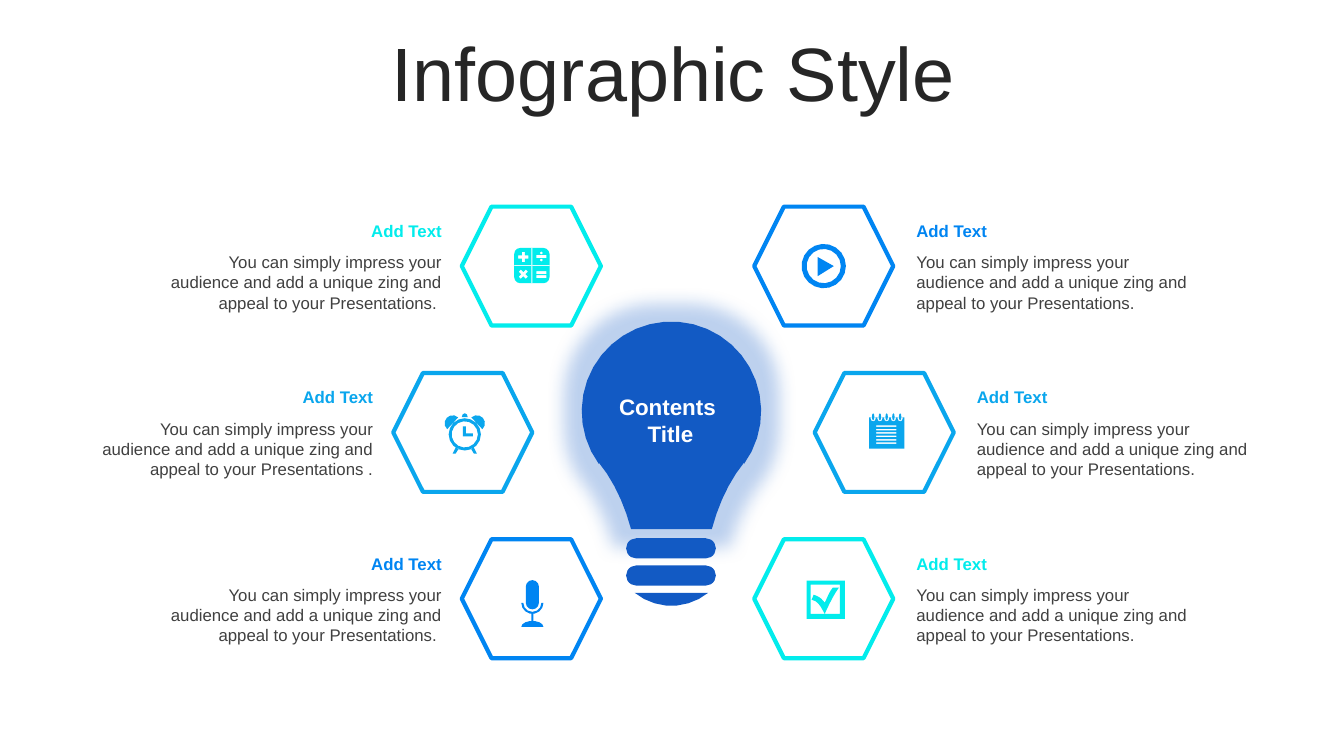
import math

import lxml.etree
import pptx
import pptx.dml.color
import pptx.enum.shapes
import pptx.enum.text
import pptx.oxml.ns
import pptx.util

Inches = pptx.util.Inches
SHAPE = pptx.enum.shapes.MSO_SHAPE
ALIGN = pptx.enum.text.PP_ALIGN
ANCHOR = pptx.enum.text.MSO_ANCHOR
BLUE, SKY, CYAN, NAVY = "0085F2", "0AA6ED", "02ECEC", "125AC4"
BODY = "You can simply impress your audience and add a unique zing and appeal to your Presentations"


def rgb(color):
    """Turn a hex string into a colour."""
    return pptx.dml.color.RGBColor.from_string(color)


def add_xml(parent, tag, **attrs):
    """Append a DrawingML element with attributes."""
    el = lxml.etree.SubElement(parent, pptx.oxml.ns.qn(tag))
    for name, value in attrs.items():
        el.set(name, str(value))
    return el


def add_text(s, text, x, y, w, h, size=12, color="404040", bold=False,
             align=ALIGN.LEFT, anchor=ANCHOR.TOP, spacing=1.0):
    """Place a text box, one paragraph for each line of text."""
    tf = s.shapes.add_textbox(Inches(x), Inches(y), Inches(w), Inches(h)).text_frame
    tf.word_wrap, tf.vertical_anchor = True, anchor
    for i, line in enumerate(text.split("\n")):
        p = tf.paragraphs[0] if i == 0 else tf.add_paragraph()
        p.alignment, p.line_spacing = align, spacing
        r = p.add_run()
        r.text = line
        r.font.name, r.font.size, r.font.bold = "Arial", pptx.util.Pt(size), bold
        r.font.color.rgb = rgb(color)


def paint(sp, color):
    """Fill a shape flat, with no line or shadow."""
    sp.shadow.inherit = False
    sp.fill.solid()
    sp.fill.fore_color.rgb = rgb(color)
    sp.line.fill.background()
    return sp


def box(x, y, w, h):
    """Return a rectangular contour."""
    return [(x, y), (x + w, y), (x + w, y + h), (x, y + h)]


def arc(cx, cy, rx, ry=None, start=0, end=360):
    """Return points along an elliptical arc, in degrees clockwise from the right."""
    ry = ry or rx
    steps = max(3, math.ceil(abs(end - start) / 9 * math.sqrt(max(rx, ry))))
    angles = [math.radians(start + (end - start) * i / steps) for i in range(steps + 1)]
    return [(cx + rx * math.cos(a), cy + ry * math.sin(a)) for a in angles]


def bezier(a, b, c, d, steps=5):
    """Return points along a cubic curve."""
    ts = [i / steps for i in range(steps + 1)]
    return [tuple((1 - t) ** 3 * a[k] + 3 * (1 - t) ** 2 * t * b[k]
                  + 3 * (1 - t) * t * t * c[k] + t ** 3 * d[k] for k in (0, 1)) for t in ts]


def mirror(points, cx):
    """Reflect points about a vertical axis, in reverse order."""
    return [(2 * cx - x, y) for x, y in reversed(points)]


def draw(s, contours, x, y, color):
    """Draw contours as one freeform at an offset; nested contours make holes."""
    placed = [[(Inches(x + px), Inches(y + py)) for px, py in c] for c in contours]
    fb = s.shapes.build_freeform(*placed[0][0])
    for i, points in enumerate(placed):
        if i:
            fb.move_to(*points[0])
        fb.add_line_segments(points[1:], close=True)
    return paint(fb.convert_to_shape(), color)


def cross(cx, cy, turn):
    """Return a plus sign contour turned by an angle."""
    points = []
    for q in range(4):
        a = math.radians(90 * q + turn)
        for dx, dy in ((0.05, -0.015), (0.05, 0.015), (0.015, 0.015)):
            points.append((cx + dx * math.cos(a) - dy * math.sin(a),
                           cy + dx * math.sin(a) + dy * math.cos(a)))
    return points


def calculator():
    """Return the calculator contours."""
    corners = ((0.29, 0.29), (0.06, 0.29), (0.06, 0.06), (0.29, 0.06))
    body = [pt for i, (cx, cy) in enumerate(corners)
            for pt in arc(cx, cy, 0.06, start=90 * i, end=90 * i + 90)]
    gaps = [box(0.17, 0, 0.01, 0.35), box(0, 0.17, 0.17, 0.01), box(0.18, 0.17, 0.17, 0.01)]
    bars = [box(0.22, y, 0.1, 0.03) for y in (0.07, 0.23, 0.27)]
    dots = [arc(0.27, y, 0.015) for y in (0.05, 0.12)]
    return [body, *gaps, *bars, *dots, cross(0.09, 0.09, 0), cross(0.09, 0.26, 45)]


def clock():
    """Return the alarm clock contours."""
    hands = [(0.18, 0.13), (0.21, 0.13), (0.21, 0.2), (0.28, 0.2), (0.28, 0.23), (0.18, 0.23)]
    leg = [(0.11, 0.34), (0.08, 0.4), (0.11, 0.4), (0.14, 0.35)]
    bell = arc(0.08, 0.1, 0.08, start=133, end=313)
    cap = arc(0.2, 0.04, 0.03, 0.04, 180, 360)
    return [arc(0.2, 0.21, 0.16), arc(0.2, 0.21, 0.13), hands, cap,
            leg, mirror(leg, 0.2), bell, mirror(bell, 0.2)]


def microphone():
    """Return the microphone contours."""
    capsule = arc(0.11, 0.07, 0.065, start=180, end=360) + arc(0.11, 0.23, 0.065, end=180)
    cradle = arc(0.11, 0.23, 0.11, end=180) + arc(0.11, 0.23, 0.09, start=180, end=0)
    return [capsule, cradle, box(0.1, 0.34, 0.02, 0.07),
            arc(0.11, 0.47, 0.11, 0.06, 180, 360)]


def play():
    """Return the play button contours."""
    return [arc(0.22, 0.22, 0.22), arc(0.22, 0.22, 0.17),
            [(0.16, 0.13), (0.32, 0.22), (0.16, 0.32)]]


def notepad():
    """Return the notepad contours."""
    lines = [box(0.07, 0.12 + 0.034 * i, 0.2, 0.015) for i in range(6)]
    centers = [0.04 + 0.067 * i for i in range(5)]
    notches = [[(c - 0.025, 0.04), (c + 0.025, 0.04)] + arc(c, 0.055, 0.025, end=180)
               for c in centers]
    rings = [arc(c, 0.035, 0.012, 0.035) for c in centers]
    return [box(0, 0.04, 0.35, 0.31), *lines, *notches, *rings]


def checkbox():
    """Return the ticked box contours."""
    tick = (bezier((0.07, 0.14), (0.13, 0.16), (0.15, 0.18), (0.18, 0.22))
            + bezier((0.18, 0.22), (0.21, 0.16), (0.22, 0.12), (0.26, 0.07))
            + bezier((0.32, 0.07), (0.27, 0.14), (0.22, 0.24), (0.18, 0.33))
            + bezier((0.18, 0.33), (0.15, 0.28), (0.12, 0.2), (0.05, 0.19)))
    return [box(0, 0, 0.38, 0.38), box(0.04, 0.04, 0.29, 0.29), tick]


def add_bulb(s, x, y):
    """Draw the glowing bulb."""
    side = bezier((1.61, 1.4), (1.47, 1.57), (1.36, 1.8), (1.29, 2.06))
    head = arc(0.89, 0.89, 0.89, start=144, end=396)
    sp = draw(s, [head + side + mirror(side, 0.89)], x, y, NAVY)
    effects = sp._element.spPr.find(pptx.oxml.ns.qn("a:effectLst"))
    clr = add_xml(add_xml(effects, "a:glow", rad=Inches(0.35)), "a:srgbClr", val=NAVY)
    add_xml(clr, "a:alpha", val=28000)
    for dy in (2.15, 2.42):
        ring = s.shapes.add_shape(SHAPE.ROUNDED_RECTANGLE, Inches(x + 0.44), Inches(y + dy),
                                  Inches(0.89), Inches(0.2))
        ring.adjustments[0] = 0.5
        paint(ring, NAVY)
    draw(s, [arc(0.89, 2.24, 0.58, start=51, end=129)], x, y, NAVY)


def add_item(s, x, y, color, icon, dx, dy, opacity, left, ending):
    """Draw a hexagon with its icon and the text beside it."""
    sp = s.shapes.add_shape(SHAPE.HEXAGON, Inches(x), Inches(y), Inches(1.38), Inches(1.18))
    paint(sp, "FFFFFF")
    if opacity:
        clr = sp._element.spPr.find(".//" + pptx.oxml.ns.qn("a:srgbClr"))
        add_xml(clr, "a:alpha", val=opacity * 1000)
    else:
        sp.fill.background()
    sp.line.color.rgb, sp.line.width = rgb(color), pptx.util.Pt(3)
    draw(s, icon(), x + dx, y + dy, color)
    tx = x - 3.09 if left else x + 1.51
    align = ALIGN.RIGHT if left else ALIGN.LEFT
    add_text(s, BODY + ending, tx, y + 0.4, 2.99, 0.71, align=align)
    add_text(s, "Add Text", tx, y + 0.09, 2.99, 0.3, color=color, bold=True,
             align=align, anchor=ANCHOR.MIDDLE)


def build_slide(s):
    """Lay out the title, the bulb and the six items."""
    add_text(s, "Infographic Style", 0.35, 0.37, 12.66, 0.79, size=54, color="262626",
             align=ALIGN.CENTER, anchor=ANCHOR.MIDDLE, spacing=0.9)
    add_bulb(s, 5.77, 3.19)
    items = [
        (7.48, 0, BLUE, play, 0.47, 0.37, 30, False, ". "),
        (8.08, 1, SKY, notepad, 0.54, 0.4, 10, False, ". "),
        (7.48, 2, CYAN, checkbox, 0.52, 0.41, 0, False, ". "),
        (4.58, 0, CYAN, calculator, 0.52, 0.41, 0, True, ". "),
        (3.9, 1, SKY, clock, 0.51, 0.4, 10, True, " ."),
        (4.58, 2, BLUE, microphone, 0.59, 0.4, 30, True, ". "),
    ]
    for x, row, *rest in items:
        add_item(s, x, 2.05 + 1.65 * row, *rest)
    add_text(s, "Contents \nTitle", 5.94, 3.85, 1.42, 0.64, size=16, color="FFFFFF",
             bold=True, align=ALIGN.CENTER, anchor=ANCHOR.MIDDLE)


prs = pptx.Presentation()
prs.slide_width, prs.slide_height = Inches(13.33), Inches(7.5)
build_slide(prs.slides.add_slide(prs.slide_layouts[6]))
prs.save("out.pptx")
